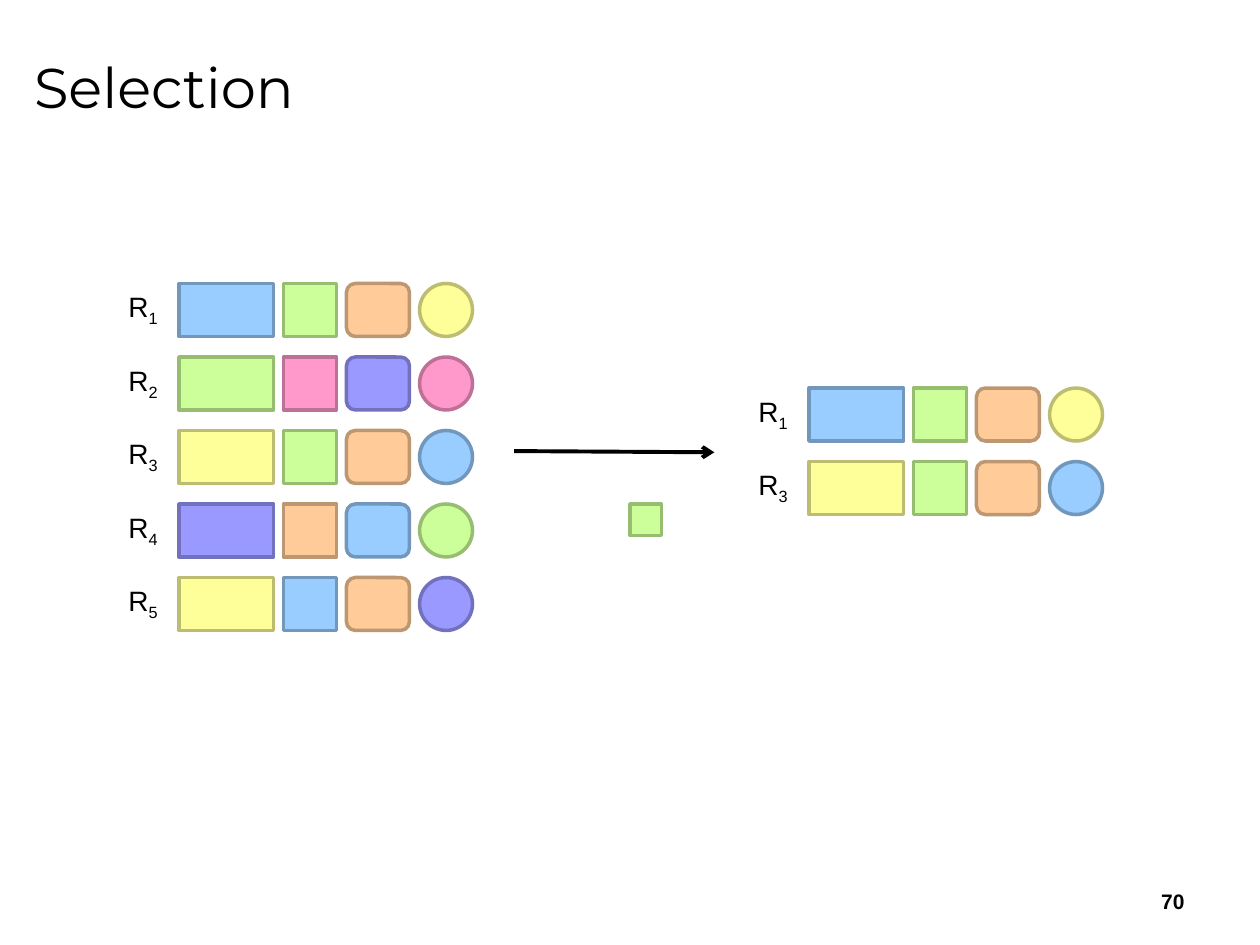
import pptx
import pptx.util
import pptx.dml.color
import pptx.enum.shapes
import pptx.enum.text
import pptx.oxml
import pptx.oxml.ns

Inches = pptx.util.Inches
Pt = pptx.util.Pt
RGBColor = pptx.dml.color.RGBColor
Kind = pptx.enum.shapes.MSO_SHAPE
Align = pptx.enum.text.PP_ALIGN
Anchor = pptx.enum.text.MSO_ANCHOR

BLACK = RGBColor(0x00, 0x00, 0x00)
# Each colour is a fill with its darker outline.
BLUE = RGBColor(0x99, 0xCC, 0xFF), RGBColor(0x71, 0x97, 0xBD)
GREEN = RGBColor(0xCC, 0xFF, 0x99), RGBColor(0x97, 0xBD, 0x71)
ORANGE = RGBColor(0xFF, 0xCC, 0x99), RGBColor(0xBD, 0x97, 0x71)
YELLOW = RGBColor(0xFF, 0xFF, 0x99), RGBColor(0xBD, 0xBD, 0x71)
PINK = RGBColor(0xFF, 0x99, 0xCC), RGBColor(0xBD, 0x71, 0x97)
PURPLE = RGBColor(0x99, 0x99, 0xFF), RGBColor(0x71, 0x71, 0xBD)

RECORDS = {
    1: (BLUE, GREEN, ORANGE, YELLOW),
    2: (GREEN, PINK, PURPLE, PINK),
    3: (YELLOW, GREEN, ORANGE, BLUE),
    4: (PURPLE, ORANGE, BLUE, GREEN),
    5: (YELLOW, BLUE, ORANGE, PURPLE),
}
# Kind, offset from the label and width of each field.
FIELDS = (
    (Kind.RECTANGLE, 0.5, 0.75),
    (Kind.RECTANGLE, 1.33, 0.42),
    (Kind.ROUNDED_RECTANGLE, 1.83, 0.5),
    (Kind.OVAL, 2.41, 0.42),
)
SIDE = 0.42
PITCH = 7 / 12


def add_run(para, text, size, face="Arial", bold=False):
    run = para.add_run()
    run.text = text
    run.font.size = Pt(size)
    run.font.name = face
    run.font.bold = bold
    run.font.color.rgb = BLACK
    return run


def add_title(slide, text):
    title = slide.shapes.title
    title.left, title.top = Inches(0.17), Inches(0.12)
    title.width, title.height = Inches(9.5), Inches(1.12)
    title.text_frame.vertical_anchor = Anchor.MIDDLE
    para = title.text_frame.paragraphs[0]
    para.alignment = Align.LEFT
    add_run(para, text, 32, "Montserrat")


def add_field(slide, kind, left, top, width, height, color):
    shape = slide.shapes.add_shape(
        kind, Inches(left), Inches(top), Inches(width), Inches(height))
    shape.shadow.inherit = False
    fill, edge = color
    shape.fill.solid()
    shape.fill.fore_color.rgb = fill
    shape.line.color.rgb = edge
    shape.line.width = Pt(2)


def add_label(slide, left, top, number):
    box = slide.shapes.add_textbox(
        Inches(left), Inches(top), Inches(0.45), Inches(0.37))
    box.text_frame.word_wrap = False
    box.text_frame.auto_size = pptx.enum.text.MSO_AUTO_SIZE.SHAPE_TO_FIT_TEXT
    para = box.text_frame.paragraphs[0]
    add_run(para, "R", 16)
    sub = add_run(para, str(number), 16)
    sub.font._element.set("baseline", "-25000")


def add_table_rows(slide, left, top, numbers):
    """Draw the numbered records as rows of coloured fields."""
    for row, number in enumerate(numbers):
        y = top + row * PITCH
        add_label(slide, left, y, number)
        for (kind, shift, width), color in zip(FIELDS, RECORDS[number]):
            add_field(slide, kind, left + shift, y, width, SIDE, color)


def add_arrow(slide, x1, y1, x2, y2):
    arrow = slide.shapes.add_connector(
        pptx.enum.shapes.MSO_CONNECTOR.STRAIGHT,
        Inches(x1), Inches(y1), Inches(x2), Inches(y2))
    arrow.line.color.rgb = BLACK
    arrow.line.width = Pt(2.25)
    qn = pptx.oxml.ns.qn
    line = arrow.line._get_or_add_ln()
    tail = line.makeelement(qn("a:tailEnd"), {"type": "arrow"})
    line.append(tail)
    props = arrow._element.spPr
    props.append(props.makeelement(qn("a:effectLst"), {}))


def add_page(slide, text):
    box = slide.shapes.add_textbox(
        Inches(7.17), Inches(6.95), Inches(2.33), Inches(0.4))
    frame = box.text_frame
    frame.word_wrap = True
    frame.vertical_anchor = Anchor.MIDDLE
    para = frame.paragraphs[0]
    para.alignment = Align.RIGHT
    add_run(para, text, 12, bold=True)


def main():
    deck = pptx.Presentation()
    deck.slide_width, deck.slide_height = Inches(10), Inches(7.5)
    slide = deck.slides.add_slide(deck.slide_layouts[5])
    add_title(slide, "Selection")
    add_table_rows(slide, 0.92, 2.25, RECORDS)
    add_arrow(slide, 4.08, 3.58, 5.67, 3.59)
    add_field(slide, Kind.RECTANGLE, 5, 4, 0.25, 0.25, GREEN)
    add_table_rows(slide, 5.92, 3.08, (1, 3))
    add_page(slide, "70")
    deck.save("out.pptx")


if __name__ == "__main__":
    main()
